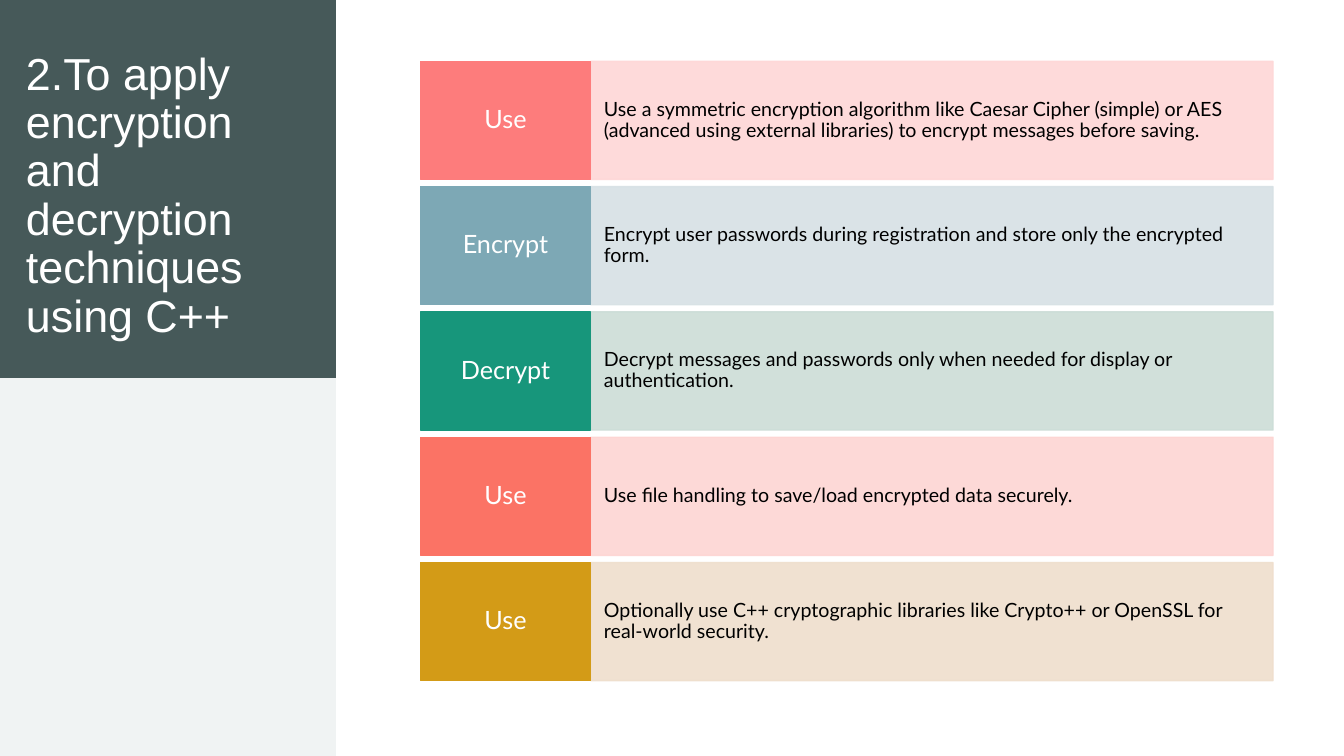
from pptx import Presentation
from pptx.dml.color import RGBColor as Rgb
from pptx.enum.shapes import MSO_SHAPE as Kind
from pptx.enum.text import MSO_ANCHOR as Anchor, PP_ALIGN as Align
from pptx.oxml.ns import qn
from pptx.util import Pt
from lxml.etree import SubElement as Sub

HUES = {
    "white": "FFFFFF", "black": "000000", "slate": "465959", "mist": "F0F3F3",
    "rose": "FD7C7C", "blush": "FED7D7",
    "blue": "7DA8B5", "ice": "D7E1E5",
    "green": "17967B", "mint": "CCDDD7",
    "coral": "FB7365", "peach": "FDD5D3",
    "gold": "D39B17", "sand": "EFDECC",
}

STEPS = [
    ("Use", "rose", "blush",
     "Use a symmetric encryption algorithm like Caesar Cipher (simple) or AES "
     "(advanced using external libraries) to encrypt messages before saving."),
    ("Encrypt", "blue", "ice",
     "Encrypt user passwords during registration and store only the encrypted form."),
    ("Decrypt", "green", "mint",
     "Decrypt messages and passwords only when needed for display or authentication."),
    ("Use", "coral", "peach",
     "Use file handling to save/load encrypted data securely."),
    ("Use", "gold", "sand",
     "Optionally use C++ cryptographic libraries like Crypto++ or OpenSSL "
     "for real-world security."),
]


def write(shape, text, size, hue, font="Lato", align=Align.LEFT,
          anchor=Anchor.MIDDLE, pad=(7.2, 3.6)):
    frame = shape.text_frame
    frame.word_wrap = True
    frame.vertical_anchor = anchor
    frame.margin_left = frame.margin_right = Pt(pad[0])
    frame.margin_top = frame.margin_bottom = Pt(pad[1])
    para = frame.paragraphs[0]
    para.alignment = align
    para.line_spacing = 0.9
    run = para.add_run()
    run.text = text
    run.font.name = font
    run.font.size = Pt(size)
    run.font.color.rgb = Rgb.from_string(HUES[hue])


class Deck:
    def __init__(self, wide, high):
        self.show = Presentation()
        self.show.slide_width, self.show.slide_height = Pt(wide), Pt(high)
        self.slide = self.show.slides.add_slide(self.show.slide_layouts[6])

    def rect(self, left, top, wide, high, hue, edge=False, alpha=100):
        box = self.slide.shapes.add_shape(
            Kind.RECTANGLE, Pt(left), Pt(top), Pt(wide), Pt(high))
        box.shadow.inherit = False
        box.fill.solid()
        box.fill.fore_color.rgb = Rgb.from_string(HUES[hue])
        if edge:
            box.line.color.rgb = Rgb.from_string(HUES[hue])
            box.line.width = Pt(1)
        else:
            box.line.fill.background()
        if alpha < 100:
            for tint in box.element.spPr.iter(qn("a:srgbClr")):
                Sub(tint, qn("a:alpha")).set("val", str(alpha * 1000))
        return box

    def label(self, left, top, wide, high, text, **form):
        box = self.slide.shapes.add_textbox(Pt(left), Pt(top), Pt(wide), Pt(high))
        write(box, text, **form)

    def step(self, top, high, name, dark, light, text):
        left, tag, body = 300.2, 121.8, 487.4
        box = self.rect(left + tag, top, body, high, light, edge=True, alpha=90)
        write(box, text, 14, "black", pad=(9.4, 21.6))
        box = self.rect(left, top, tag, high, dark, edge=True)
        write(box, name, 18, "white", align=Align.CENTER, pad=(6.5, 8.6))


def main():
    deck = Deck(960, 540)
    deck.rect(0, 0, 240, 270, "slate")
    deck.rect(0, 270, 240, 270, "mist")
    deck.label(11.5, 28.8, 211.7, 218.9,
               "2.To apply encryption and decryption techniques using C++",
               size=32, hue="white", font="Arial", anchor=Anchor.BOTTOM)
    for row, step in enumerate(STEPS):
        deck.step(43.8 + row * 89.5, 84.4, *step)
    deck.show.save("out.pptx")


if __name__ == "__main__":
    main()
